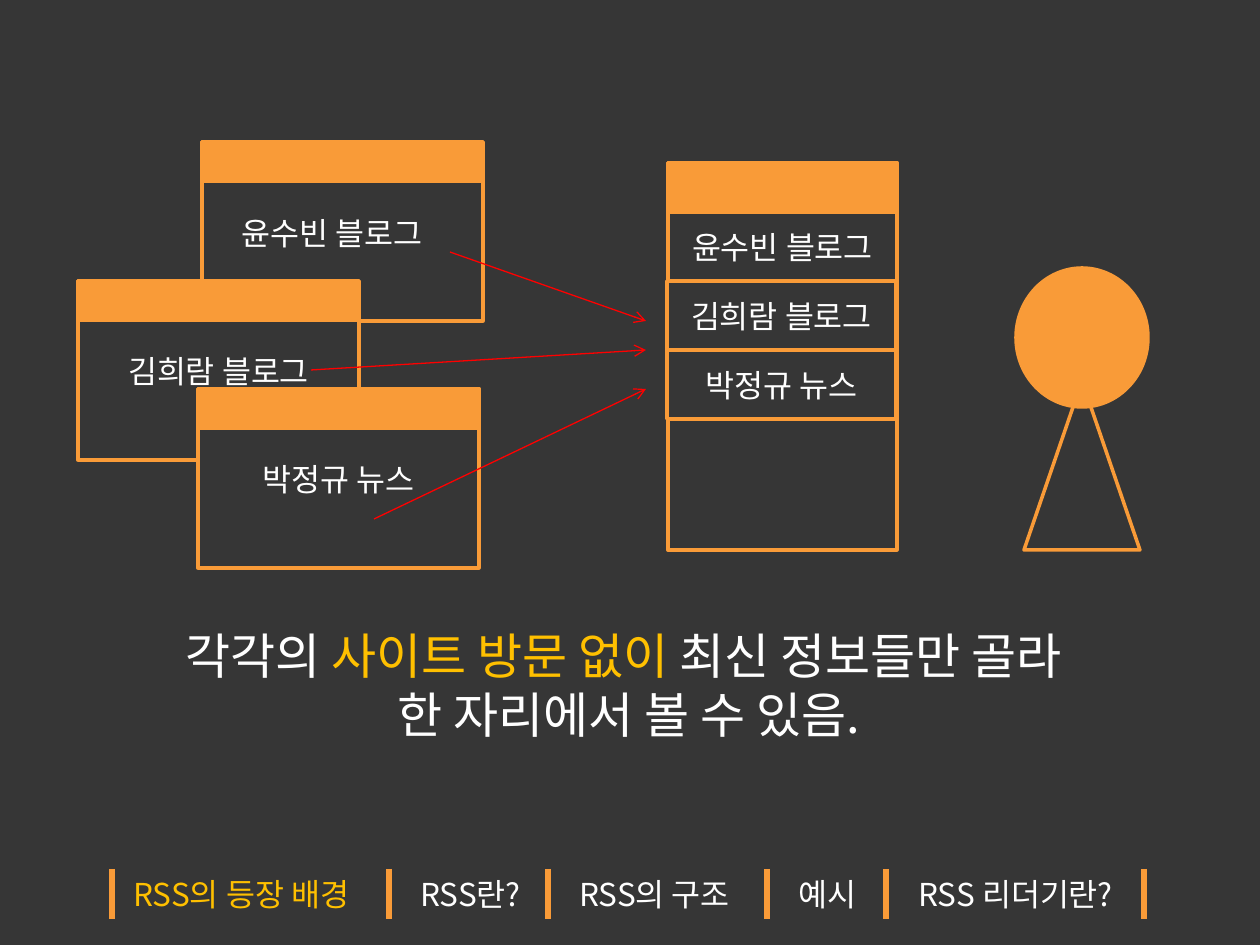
from dataclasses import dataclass

from lxml import etree
from pptx import Presentation
from pptx.dml.color import RGBColor
from pptx.enum.shapes import MSO_CONNECTOR, MSO_SHAPE
from pptx.enum.text import MSO_ANCHOR, MSO_AUTO_SIZE, PP_ALIGN
from pptx.oxml.ns import qn
from pptx.util import Emu, Pt

RECT, OVAL, CONE = MSO_SHAPE.RECTANGLE, MSO_SHAPE.OVAL, MSO_SHAPE.ISOSCELES_TRIANGLE
LINE = MSO_CONNECTOR.STRAIGHT
LEFT, MID = PP_ALIGN.LEFT, PP_ALIGN.CENTER
CENTER = MSO_ANCHOR.MIDDLE
GROW = MSO_AUTO_SIZE.SHAPE_TO_FIT_TEXT


@dataclass(frozen=True)
class Theme:
    back: str = "363636"
    main: str = "F99B38"
    text: str = "FFFFFF"
    mark: str = "FFC000"
    flow: str = "FF0000"
    font: str = "Noto Sans CJK KR"
    body: int = 18
    large: int = 28
    edge: float = 2
    thin: float = 0.75
    bar: float = 3


THEME = Theme()
NAMES = ["윤수빈 블로그", "김희람 블로그", "박정규 뉴스"]
ROW = 69
NAV_TOP, NAV_TALL = 869, 50


def px(n):
    return Emu(round(n * 914400 / 126))


def rgb(code):
    return RGBColor.from_string(code)


def write(frame, lines, size=THEME.body, align=MID):
    """Fill a frame with lines, each a list of (text, colour) pairs."""
    for i, runs in enumerate(lines):
        para = frame.paragraphs[0] if i == 0 else frame.add_paragraph()
        para.alignment = align
        for text, color in runs:
            run = para.add_run()
            run.text = text
            form = {"name": THEME.font, "size": Pt(size)}
            for key, value in form.items():
                setattr(run.font, key, value)
            run.font.color.rgb = rgb(color)
            east = etree.SubElement(run.font._element, qn("a:ea"))
            east.set("typeface", THEME.font)


def add_form(slide, kind, box, fill=None, text=None):
    form = slide.shapes.add_shape(kind, *map(px, box))
    form.shadow.inherit = False
    form.line.color.rgb = rgb(THEME.main)
    form.line.width = Pt(THEME.edge)
    if fill:
        form.fill.solid()
        form.fill.fore_color.rgb = rgb(fill)
    else:
        form.fill.background()
    if text:
        form.text_frame.vertical_anchor = CENTER
        write(form.text_frame, [[(text, THEME.text)]])


def add_text(slide, box, lines, wrap=False, **style):
    frame = slide.shapes.add_textbox(*map(px, box)).text_frame
    for key, value in {"word_wrap": wrap, "auto_size": GROW}.items():
        setattr(frame, key, value)
    write(frame, lines, **style)


def add_line(slide, ends, color, width, arrow=False):
    line = slide.shapes.add_connector(LINE, *map(px, ends))
    line.line.color.rgb = rgb(color)
    line.line.width = Pt(width)
    if arrow:
        tail = etree.SubElement(line.line._get_or_add_ln(), qn("a:tailEnd"))
        tail.set("type", "arrow")
    etree.SubElement(line._element.spPr, qn("a:effectLst"))


def add_window(slide, box, head, fill=THEME.back, text=None):
    """Draw a page outline with a solid title bar of height head."""
    left, top, wide, _ = box
    add_form(slide, RECT, box, fill, text)
    add_form(slide, RECT, (left, top, wide, head), THEME.main)


def add_sites(slide):
    spots = [(202, 142, None, None),
             (78, 281, THEME.back, NAMES[1]),
             (198, 389, THEME.back, NAMES[2])]
    for left, top, fill, text in spots:
        add_window(slide, (left, top, 281, 179), 39, fill, text)
    add_text(slide, (229, 208, 228, 50), [[(NAMES[0], THEME.text)]], align=LEFT)


def add_flows(slide):
    for ends in [(450, 252, 646, 321), (311, 370, 646, 350), (374, 519, 646, 389)]:
        add_line(slide, ends, THEME.flow, THEME.thin, arrow=True)


def add_reader(slide):
    add_window(slide, (668, 163, 229, 387), 49)
    for i, (left, name) in enumerate(zip((668, 667, 667), NAMES)):
        add_form(slide, RECT, (left, 212 + i * ROW, 229, ROW), THEME.back, name)


def add_user(slide):
    add_form(slide, CONE, (1024, 381, 116, 169))
    add_form(slide, OVAL, (1016, 268, 132, 139), THEME.main)


def add_claim(slide):
    lines = [[("각각의 ", THEME.text), ("사이트 방문 없이 ", THEME.mark),
              ("최신 정보들만 골라 ", THEME.text)],
             [("한 자리에서 볼 수 있음.", THEME.text)]]
    add_text(slide, (123, 619, 1012, 131), lines, wrap=True, size=THEME.large)


def add_nav(slide):
    for x in (112, 389, 548, 767, 886, 1144):
        add_line(slide, (x, NAV_TOP, x, NAV_TOP + NAV_TALL), THEME.main, THEME.bar)
    items = [("RSS의 등장 배경", 121, 261), ("RSS란?", 408, 126),
             ("RSS의 구조", 567, 186), ("예시", 786, 89), ("RSS 리더기란?", 906, 232)]
    for i, (text, left, wide) in enumerate(items):
        color = THEME.mark if i == 0 else THEME.text
        add_text(slide, (left, NAV_TOP, wide, NAV_TALL), [[(text, color)]], align=LEFT)


def main():
    deck = Presentation()
    deck.slide_width, deck.slide_height = px(1260), px(945)
    slide = deck.slides.add_slide(deck.slide_layouts[6])
    slide.background.fill.solid()
    slide.background.fill.fore_color.rgb = rgb(THEME.back)
    for part in (add_sites, add_flows, add_reader, add_user, add_claim, add_nav):
        part(slide)
    deck.save("out.pptx")


if __name__ == "__main__":
    main()
